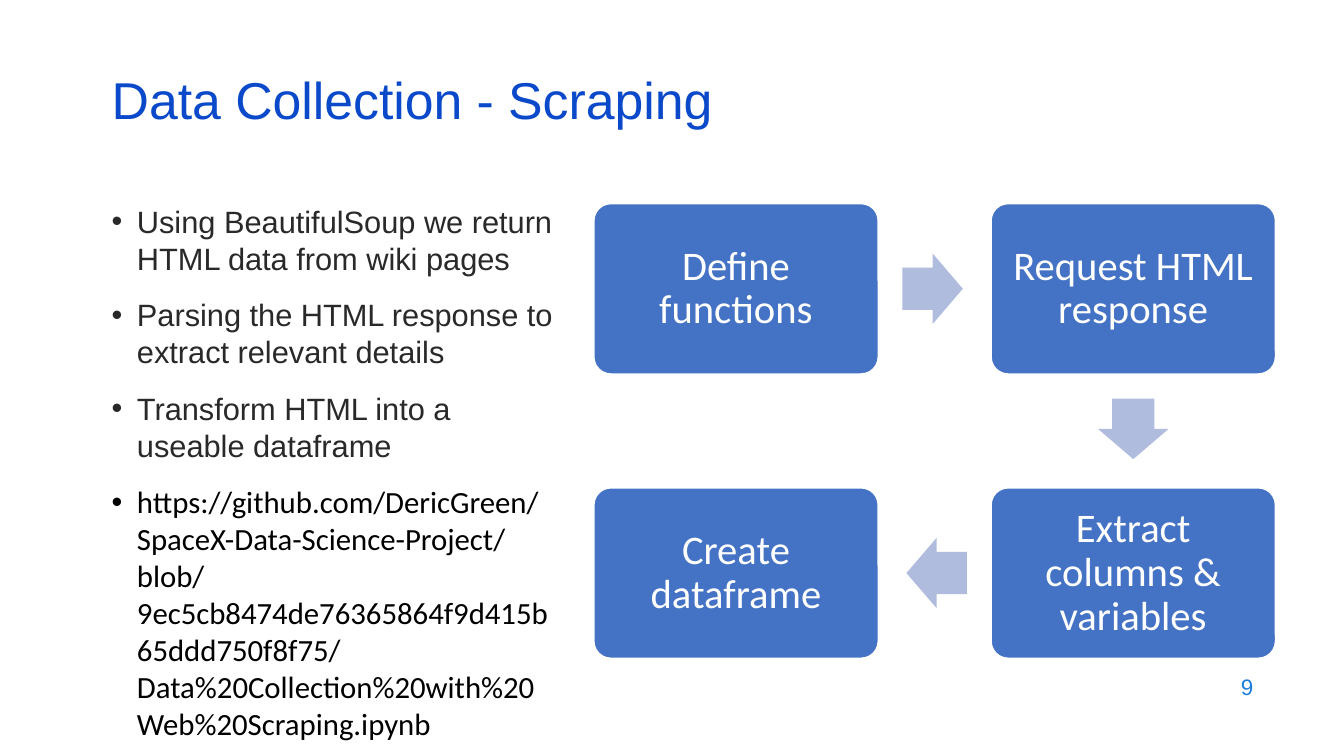
from dataclasses import dataclass
from itertools import pairwise
from math import atan2, cos, degrees, radians, sin

from lxml.etree import SubElement
from pptx import Presentation
from pptx.dml.color import RGBColor
from pptx.enum.shapes import MSO_SHAPE
from pptx.enum.text import MSO_ANCHOR, PP_ALIGN
from pptx.oxml.ns import qn
from pptx.util import Inches, Pt


@dataclass(frozen=True)
class Theme:
    sans: str = "Arial"
    calibri: str = "Calibri"
    title: RGBColor = RGBColor.from_string("0B49CB")
    body: RGBColor = RGBColor.from_string("292929")
    link: RGBColor = RGBColor.from_string("000000")
    number: RGBColor = RGBColor.from_string("1C7DDB")
    box: RGBColor = RGBColor.from_string("4472C4")
    arrow: RGBColor = RGBColor.from_string("B0BCDE")
    white: RGBColor = RGBColor.from_string("FFFFFF")
    title_size: int = 37
    step_size: int = 29
    body_size: int = 22
    number_size: int = 16


@dataclass(frozen=True)
class Bullet:
    text: str
    font: str
    color: RGBColor


@dataclass(frozen=True)
class Step:
    text: str
    col: int
    row: int

    @property
    def left(self) -> float:
        return GRID_LEFT + self.col * COL_PITCH

    @property
    def top(self) -> float:
        return GRID_TOP + self.row * ROW_PITCH


THEME = Theme()
GRID_LEFT, GRID_TOP = 5.89, 2.02
COL_PITCH, ROW_PITCH = 3.94, 2.82
BOX_W, BOX_H = 2.82, 1.69
ARROW_W, ARROW_H = 0.6, 0.7
ARROW_SETBACK = 0.02

BULLETS = [
    Bullet("Using BeautifulSoup we return HTML data from wiki pages", THEME.sans, THEME.body),
    Bullet("Parsing the HTML response to extract relevant details", THEME.sans, THEME.body),
    Bullet("Transform HTML into a useable dataframe", THEME.sans, THEME.body),
    Bullet(
        "https://github.com/DericGreen/SpaceX-Data-Science-Project/blob/"
        "9ec5cb8474de76365864f9d415b65ddd750f8f75/"
        "Data%20Collection%20with%20Web%20Scraping.ipynb",
        THEME.calibri,
        THEME.link,
    ),
]
STEPS = [
    Step("Define functions", 0, 0),
    Step("Request HTML response", 1, 0),
    Step("Extract columns & variables", 1, 1),
    Step("Create dataframe", 0, 1),
]


def style_runs(p, font: str, size: int, color: RGBColor) -> None:
    for r in p.runs:
        r.font.name = font
        r.font.size = Pt(size)
        r.font.color.rgb = color


def add_text_frame(s, left: float, top: float, width: float, height: float, anchor=MSO_ANCHOR.MIDDLE):
    tf = s.shapes.add_textbox(Inches(left), Inches(top), Inches(width), Inches(height)).text_frame
    tf.word_wrap = True
    tf.vertical_anchor = anchor
    return tf


def add_title(s, text: str) -> None:
    tf = add_text_frame(s, 1.01, 0.76, 11.5, 0.6)
    tf.text = text
    p = tf.paragraphs[0]
    p.line_spacing = 0.7
    style_runs(p, THEME.sans, THEME.title_size, THEME.title)


def add_page_number(s, text: str) -> None:
    tf = add_text_frame(s, 9.53, 6.59, 3, 0.44)
    tf.text = text
    p = tf.paragraphs[0]
    p.alignment = PP_ALIGN.RIGHT
    style_runs(p, THEME.sans, THEME.number_size, THEME.number)


def add_bullets(s, bullets: list[Bullet]) -> None:
    tf = add_text_frame(s, 1.01, 1.96, 4.58, 4.17, MSO_ANCHOR.TOP)
    for i, bullet in enumerate(bullets):
        p = tf.add_paragraph() if i else tf.paragraphs[0]
        p.text = bullet.text
        pPr = p._p.get_or_add_pPr()
        pPr.set("marL", str(Inches(0.25)))
        pPr.set("indent", str(-Inches(0.25)))
        SubElement(pPr, qn("a:buFont")).set("typeface", THEME.sans)
        SubElement(pPr, qn("a:buChar")).set("char", "•")
        p.line_spacing = Pt(26.4)
        if i:
            p.space_before = Pt(14)
        style_runs(p, bullet.font, THEME.body_size, bullet.color)


def add_step(s, step: Step) -> None:
    sp = s.shapes.add_shape(
        MSO_SHAPE.ROUNDED_RECTANGLE, Inches(step.left), Inches(step.top), Inches(BOX_W), Inches(BOX_H)
    )
    sp.adjustments[0] = 0.1
    sp.shadow.inherit = False
    sp.fill.solid()
    sp.fill.fore_color.rgb = THEME.box
    sp.line.color.rgb = THEME.white
    sp.line.width = Pt(1)
    tf = sp.text_frame
    tf.word_wrap = True
    tf.vertical_anchor = MSO_ANCHOR.MIDDLE
    tf.margin_left = tf.margin_right = tf.margin_top = tf.margin_bottom = Inches(0.12)
    tf.text = step.text
    p = tf.paragraphs[0]
    p.alignment = PP_ALIGN.CENTER
    p.line_spacing = 0.9
    style_runs(p, THEME.calibri, THEME.step_size, THEME.white)


def add_arrow(s, start: Step, end: Step) -> None:
    angle = degrees(atan2(end.row - start.row, end.col - start.col))
    x = (start.left + end.left + BOX_W) / 2 - ARROW_SETBACK * cos(radians(angle))
    y = (start.top + end.top + BOX_H) / 2 - ARROW_SETBACK * sin(radians(angle))
    sp = s.shapes.add_shape(
        MSO_SHAPE.RIGHT_ARROW,
        Inches(x - ARROW_W / 2),
        Inches(y - ARROW_H / 2),
        Inches(ARROW_W),
        Inches(ARROW_H),
    )
    sp.adjustments[0] = 0.6
    sp.adjustments[1] = 0.5
    sp.rotation = angle
    sp.shadow.inherit = False
    sp.fill.solid()
    sp.fill.fore_color.rgb = THEME.arrow
    sp.line.fill.background()


def main() -> None:
    prs = Presentation()
    prs.slide_width, prs.slide_height = Inches(13.33), Inches(7.5)
    s = prs.slides.add_slide(prs.slide_layouts[6])
    add_page_number(s, "9")
    add_bullets(s, BULLETS)
    add_title(s, "Data Collection - Scraping")
    for step in STEPS:
        add_step(s, step)
    for start, end in pairwise(STEPS):
        add_arrow(s, start, end)
    prs.save("out.pptx")


if __name__ == "__main__":
    main()
